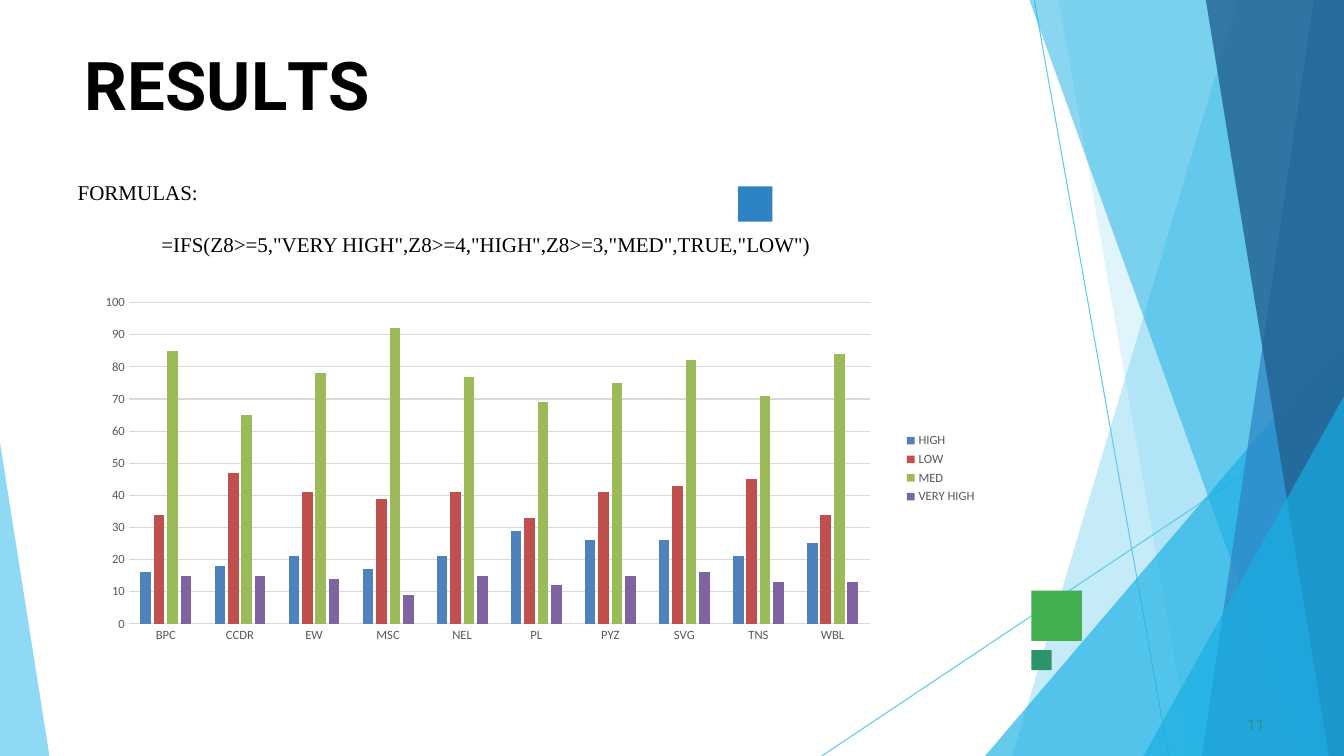
from dataclasses import dataclass

from lxml import etree
from pptx import Presentation
from pptx.chart.data import CategoryChartData
from pptx.dml.color import RGBColor
from pptx.enum.chart import XL_CHART_TYPE, XL_LEGEND_POSITION, XL_TICK_MARK
from pptx.enum.shapes import MSO_CONNECTOR, MSO_SHAPE
from pptx.enum.text import MSO_ANCHOR, MSO_AUTO_SIZE, PP_ALIGN
from pptx.oxml.ns import qn
from pptx.util import Emu, Pt

COLUMN_CLUSTERED = XL_CHART_TYPE.COLUMN_CLUSTERED
LEGEND_RIGHT = XL_LEGEND_POSITION.RIGHT
TICK_NONE = XL_TICK_MARK.NONE
STRAIGHT = MSO_CONNECTOR.STRAIGHT
RECTANGLE = MSO_SHAPE.RECTANGLE
TOP = MSO_ANCHOR.TOP
NO_AUTOFIT = MSO_AUTO_SIZE.NONE
LEFT = PP_ALIGN.LEFT

EMU_PER_PX = 9144
WIDTH, HEIGHT = 1333, 750

COLORS = {
    "black": "000000", "sky": "5FCAEE", "cyan": "17AFE3", "blue": "2D83C3",
    "navy": "226192", "green": "42AF51", "teal": "2D936B",
    "label": "595959", "grid": "D9D9D9",
    "HIGH": "4F81BD", "LOW": "C0504D", "MED": "9BBB59", "VERY HIGH": "8064A2",
}


@dataclass(frozen=True)
class Band:
    points: tuple[tuple[int, int], ...]
    color: str
    opacity: int


@dataclass(frozen=True)
class Box:
    left: int
    top: int
    width: int
    height: int

    def emu(self) -> tuple[Emu, ...]:
        return tuple(px(v) for v in (self.left, self.top, self.width, self.height))


@dataclass(frozen=True)
class TextRun:
    text: str
    size: int
    font: str
    color: str = "black"
    bold: bool = False
    spacing: int = 0


RIGHT_TOP, RIGHT_BOTTOM = (WIDTH, 0), (WIDTH, HEIGHT)
LINES = [((1026, 1), (1159, HEIGHT)), ((WIDTH, 404), (815, HEIGHT))]
BANDS = [
    Band((RIGHT_TOP, (1228, 0), (1004, HEIGHT), RIGHT_BOTTOM), "sky", 36),
    Band((RIGHT_TOP, (1050, 0), (1182, HEIGHT), RIGHT_BOTTOM), "sky", 20),
    Band(((WIDTH, 333), (977, HEIGHT), RIGHT_BOTTOM), "cyan", 66),
    Band((RIGHT_TOP, (1021, 0), (1291, HEIGHT), RIGHT_BOTTOM), "cyan", 50),
    Band((RIGHT_TOP, (1303, 0), (1192, HEIGHT), RIGHT_BOTTOM), "blue", 70),
    Band((RIGHT_TOP, (1196, 0), (1318, HEIGHT), RIGHT_BOTTOM), "navy", 80),
    Band(((WIDTH, 393), (1134, HEIGHT), RIGHT_BOTTOM), "cyan", 66),
    Band(((0, 439), (0, HEIGHT), (49, HEIGHT)), "sky", 70),
]
SQUARES = [
    (Box(1023, 586, 50, 50), "green"),
    (Box(732, 185, 34, 35), "blue"),
    (Box(1023, 645, 20, 20), "teal"),
]
TITLE_RUNS = [
    TextRun(text, 48, "Roboto", bold=True, spacing=spacing)
    for text, spacing in (("R", 0), ("E", -40), ("S", 10), ("U", -30), ("L", -400), ("TS", 0))
]
FORMULA = '=IFS(Z8>=5,"VERY HIGH",Z8>=4,"HIGH",Z8>=3,"MED",TRUE,"LOW")'
CATEGORIES = ["BPC", "CCDR", "EW", "MSC", "NEL", "PL", "PYZ", "SVG", "TNS", "WBL"]
SERIES = {
    "HIGH": (16, 18, 21, 17, 21, 29, 26, 26, 21, 25),
    "LOW": (34, 47, 41, 39, 41, 33, 41, 43, 45, 34),
    "MED": (85, 65, 78, 92, 77, 69, 75, 82, 71, 84),
    "VERY HIGH": (15, 15, 14, 9, 15, 12, 15, 16, 13, 13),
}
PLOT_LAYOUT = {
    "layoutTarget": "inner", "xMode": "edge", "yMode": "edge",
    "x": "0.05", "y": "0.04", "w": "0.82", "h": "0.89",
}


def px(value: int) -> Emu:
    return Emu(value * EMU_PER_PX)


def rgb(name: str) -> RGBColor:
    return RGBColor.from_string(COLORS[name])


def paint(shape, color: str) -> None:
    shape.fill.solid()
    shape.fill.fore_color.rgb = rgb(color)
    shape.line.fill.background()
    shape.shadow.inherit = False


def add_line(slide, start: tuple[int, int], end: tuple[int, int]) -> None:
    line = slide.shapes.add_connector(STRAIGHT, *(px(v) for v in start + end))
    line.line.color.rgb = rgb("sky")
    line.line.width = Pt(0.75)
    etree.SubElement(line._element.spPr, qn("a:effectLst"))


def add_band(slide, band: Band) -> None:
    builder = slide.shapes.build_freeform(*band.points[0], scale=EMU_PER_PX)
    builder.add_line_segments(band.points[1:], close=True)
    shape = builder.convert_to_shape()
    paint(shape, band.color)
    color = shape._element.spPr.find(qn("a:solidFill")).find(qn("a:srgbClr"))
    etree.SubElement(color, qn("a:alpha")).set("val", str(band.opacity * 1000))


def place_text(shape, box: Box, insets: tuple[int, int, int, int]) -> None:
    shape.left, shape.top, shape.width, shape.height = box.emu()
    frame = shape.text_frame
    frame.word_wrap = True
    frame.auto_size = NO_AUTOFIT
    frame.vertical_anchor = TOP
    frame.margin_left, frame.margin_top, frame.margin_right, frame.margin_bottom = map(px, insets)


def write(paragraph, runs: list[TextRun], before: float, indent: int = 0) -> None:
    paragraph.alignment = LEFT
    paragraph.space_before = Pt(before)
    properties = paragraph._p.get_or_add_pPr()
    properties.set("marL", str(px(indent)))
    properties.set("indent", "0")
    etree.SubElement(properties, qn("a:buNone"))
    for item in runs:
        run = paragraph.add_run()
        run.text = item.text
        run.font.size = Pt(item.size)
        run.font.name = item.font
        run.font.bold = item.bold
        run.font.color.rgb = rgb(item.color)
        run._r.get_or_add_rPr().set("spc", str(item.spacing))


def style_axis(axis) -> None:
    axis.major_tick_mark = axis.minor_tick_mark = TICK_NONE
    axis.tick_labels.font.size = Pt(9)
    axis.tick_labels.font.color.rgb = rgb("label")


def add_results_chart(slide, box: Box) -> None:
    data = CategoryChartData()
    data.categories = CATEGORIES
    for name, values in SERIES.items():
        data.add_series(name, values)
    chart = slide.shapes.add_chart(COLUMN_CLUSTERED, *box.emu(), data).chart
    chart.has_title = False
    chart.font.size = Pt(10)
    chart.font.color.rgb = rgb("black")
    style_axis(chart.category_axis)
    style_axis(chart.value_axis)
    chart.value_axis.minimum_scale, chart.value_axis.maximum_scale = 0, 100
    chart.value_axis.major_unit = 10
    chart.value_axis.format.line.fill.background()
    for line in (chart.category_axis.format.line, chart.value_axis.major_gridlines.format.line):
        line.color.rgb = rgb("grid")
        line.width = Pt(0.75)
    chart.has_legend = True
    chart.legend.position = LEGEND_RIGHT
    chart.legend.include_in_layout = False
    chart.legend.font.size = Pt(9)
    chart.legend.font.color.rgb = rgb("label")
    plot = chart.plots[0]
    plot.gap_width, plot.overlap, plot.vary_by_categories = 219, -27, False
    for series in plot.series:
        series.format.fill.solid()
        series.format.fill.fore_color.rgb = rgb(series.name)
    plot_area = chart._chartSpace.chart.plotArea
    for old_layout in plot_area.findall(qn("c:layout")):
        plot_area.remove(old_layout)
    layout = etree.Element(qn("c:layout"))
    manual = etree.SubElement(layout, qn("c:manualLayout"))
    for tag, value in PLOT_LAYOUT.items():
        etree.SubElement(manual, qn(f"c:{tag}")).set("val", value)
    plot_area.insert(0, layout)


def main() -> None:
    presentation = Presentation()
    presentation.slide_width, presentation.slide_height = px(WIDTH), px(HEIGHT)
    slide = presentation.slides.add_slide(presentation.slide_layouts[1])
    for start, end in LINES:
        add_line(slide, start, end)
    for band in BANDS:
        add_band(slide, band)
    for box, color in SQUARES:
        paint(slide.shapes.add_shape(RECTANGLE, *box.emu()), color)

    title, body = slide.placeholders
    for placeholder in (title, body):
        slide.shapes._spTree.append(placeholder._element)
    place_text(title, Box(83, 42, 1168, 81), (0, 1, 0, 0))
    write(title.text_frame.paragraphs[0], TITLE_RUNS, 1, 1)
    place_text(body, Box(67, 173, 1200, 86), (10, 5, 10, 5))
    write(body.text_frame.paragraphs[0], [TextRun("FORMULAS:", 15, "Times New Roman")], 0)
    write(body.text_frame.add_paragraph(), [TextRun(FORMULA, 15, "Times New Roman")], 19, 83)

    number_box = Box(1233, 708, 25, 18)
    number = slide.shapes.add_textbox(*number_box.emu())
    place_text(number, number_box, (0, 1, 0, 0))
    write(number.text_frame.paragraphs[0], [TextRun("11", 11, "Roboto", "teal", spacing=10)], 0.6, 4)
    add_results_chart(slide, Box(83, 286, 896, 358))
    presentation.save("out.pptx")


if __name__ == "__main__":
    main()
